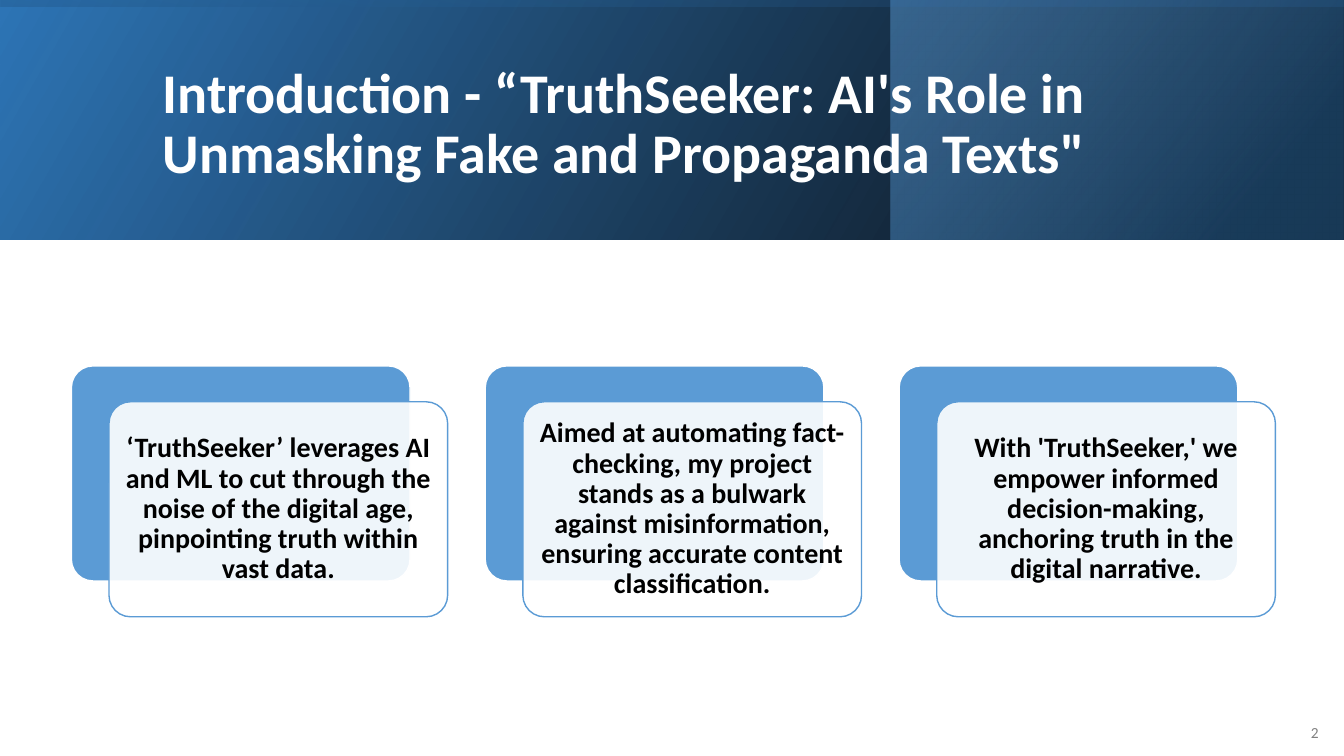
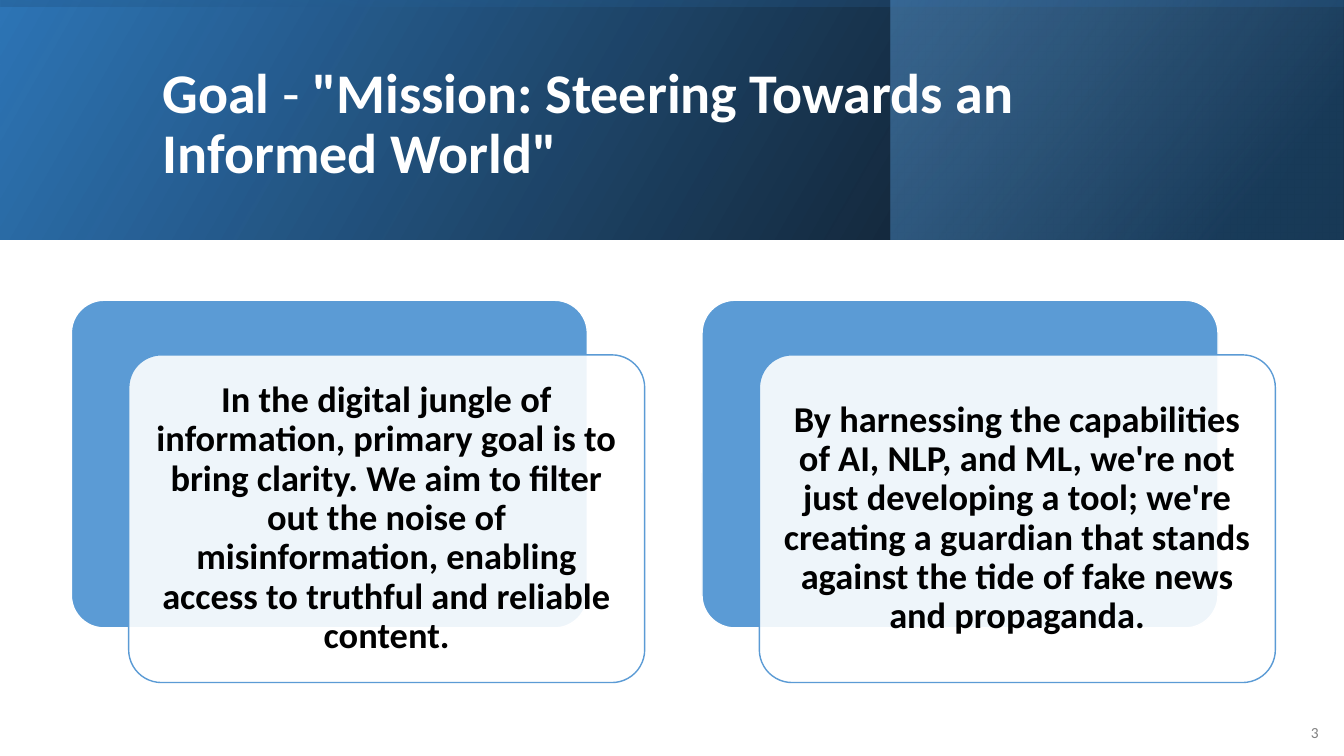
from dataclasses import dataclass
from typing import NamedTuple

from lxml.etree import SubElement
from pptx import Presentation
from pptx.dml.color import RGBColor
from pptx.enum.shapes import MSO_SHAPE as Shape
from pptx.enum.text import MSO_ANCHOR as Anchor, MSO_AUTO_SIZE as AutoSize, PP_ALIGN as Align
from pptx.oxml.ns import qn
from pptx.util import Pt

SLIDE_WIDTH, SLIDE_HEIGHT = 960, 540
HEADER_HEIGHT = 171
CARDS_LEFT, CARDS_WIDTH, CARDS_MIDDLE = 51, 860, 351
FONT = "Calibri"
BLACK, WHITE, GRAY = "000000", "FFFFFF", "808080"
NAVY, BLUE, SKY = "1F4E79", "2E75B6", "5B9BD5"


class Span(NamedTuple):
    text: str
    bold: bool = True


class Stop(NamedTuple):
    position: float
    color: str
    opacity: int = 100


@dataclass(frozen=True)
class Band:
    left: float
    top: float
    width: float
    height: float
    angle: float
    stops: tuple[Stop, Stop]
    rotation: float = 0


@dataclass(frozen=True)
class Page:
    number: int
    title: tuple[Span, ...]
    cards: tuple[str, ...]
    card_size: float


SWING = (SLIDE_WIDTH - HEADER_HEIGHT) / 2
BANDS = (
    Band(0, 0, SLIDE_WIDTH, HEADER_HEIGHT, 30,
         (Stop(0, BLACK, 96), Stop(1, BLUE))),
    Band(636.5, 0, 323, HEADER_HEIGHT, 40,
         (Stop(0.19, NAVY, 68), Stop(1, SKY, 48))),
    Band(SWING, -SWING, HEADER_HEIGHT, SLIDE_WIDTH, 10,
         (Stop(0.23, BLUE, 16), Stop(0.99, BLACK, 45)), rotation=270),
)

PAGES = (
    Page(
        2,
        (Span("Introduction - “TruthSeeker: AI's Role in Unmasking Fake and Propaganda Texts\""),),
        (
            "‘TruthSeeker’ leverages AI and ML to cut through the noise of the digital age, "
            "pinpointing truth within vast data.",
            "Aimed at automating fact-checking, my project stands as a bulwark against "
            "misinformation, ensuring accurate content classification.",
            "With 'TruthSeeker,' we empower informed decision-making, anchoring truth in "
            "the digital narrative.",
        ),
        20,
    ),
    Page(
        3,
        (Span("Goal"), Span(" - ", False),
         Span("\"Mission: Steering Towards an Informed World\"")),
        (
            "In the digital jungle of information, primary goal is to bring clarity. We aim to "
            "filter out the noise of misinformation, enabling access to truthful and reliable "
            "content.",
            "By harnessing the capabilities of AI, NLP, and ML, we're not just developing a "
            "tool; we're creating a guardian that stands against the tide of fake news and "
            "propaganda.",
        ),
        26,
    ),
)


def rgb(color: str) -> RGBColor:
    return RGBColor.from_string(color)


def write_text(frame, *spans: Span, size: float, color: str = BLACK, align=Align.CENTER,
               line_spacing: float = 0.9, inset: float | None = None) -> None:
    frame.word_wrap = True
    frame.auto_size = AutoSize.NONE
    frame.vertical_anchor = Anchor.MIDDLE
    if inset is not None:
        frame.margin_left = frame.margin_right = Pt(inset)
        frame.margin_top = frame.margin_bottom = Pt(inset)
    para = frame.paragraphs[0]
    para.alignment = align
    para.line_spacing = line_spacing
    for span in spans:
        run = para.add_run()
        run.text = span.text
        run.font.name = FONT
        run.font.size = Pt(size)
        run.font.bold = span.bold
        run.font.color.rgb = rgb(color)


def set_opacity(shape, *opacities: int) -> None:
    """Apply percentages to the shape's fill colours, in order."""
    for color, opacity in zip(shape.element.spPr.iter(qn("a:srgbClr")), opacities):
        SubElement(color, qn("a:alpha")).set("val", str(opacity * 1000))


def add_box(page, kind, left: float, top: float, width: float, height: float):
    box = page.shapes.add_shape(kind, Pt(left), Pt(top), Pt(width), Pt(height))
    box.shadow.inherit = False
    return box


def add_band(page, band: Band) -> None:
    box = add_box(page, Shape.RECTANGLE, band.left, band.top, band.width, band.height)
    box.rotation = band.rotation
    box.element.spPr.xfrm.set("flipH", "1")
    box.line.fill.background()
    box.fill.gradient()
    box.fill.gradient_angle = band.angle
    for target, stop in zip(box.fill.gradient_stops, band.stops):
        target.position = stop.position
        target.color.rgb = rgb(stop.color)
    set_opacity(box, *(stop.opacity for stop in band.stops))


def add_panel(page, left: float, top: float, width: float, height: float,
              fill: str, line: str):
    panel = add_box(page, Shape.ROUNDED_RECTANGLE, left, top, width, height)
    panel.adjustments[0] = 0.1
    panel.fill.solid()
    panel.fill.fore_color.rgb = rgb(fill)
    panel.line.color.rgb = rgb(line)
    panel.line.width = Pt(1)
    return panel


def add_cards(page, texts: tuple[str, ...], size: float) -> None:
    """Fill the row with equal cards, each a back panel and a shifted front panel."""
    shift_x, pitch = 1 / 9, 11 / 9
    width = CARDS_WIDTH / (pitch * (len(texts) - 1) + 1 + shift_x)
    height = width * 0.635
    shift_y = height / 6
    top = CARDS_MIDDLE - (height + shift_y) / 2
    for index, text in enumerate(texts):
        left = CARDS_LEFT + index * pitch * width
        add_panel(page, left, top, width, height, SKY, WHITE)
        front = add_panel(page, left + shift_x * width, top + shift_y, width, height, WHITE, SKY)
        set_opacity(front, 90)
        write_text(front.text_frame, Span(text), size=size, inset=0.3 * size)


def add_title(page, spans: tuple[Span, ...]) -> None:
    title = page.shapes.title
    title.left, title.top, title.width, title.height = Pt(109), Pt(27.5), Pt(765), Pt(124)
    write_text(title.text_frame, *spans, size=40, color=WHITE, align=Align.LEFT)
    page.shapes.element.append(title.element)  # in front of the bands


def add_number(page, number: int) -> None:
    box = page.shapes.add_textbox(Pt(921.5), Pt(508.5), Pt(35.5), Pt(29))
    write_text(box.text_frame, Span(str(number), False), size=11, color=GRAY, line_spacing=1)


def main() -> None:
    deck = Presentation()
    deck.slide_width, deck.slide_height = Pt(SLIDE_WIDTH), Pt(SLIDE_HEIGHT)
    title_only = deck.slide_layouts[5]
    for content in PAGES:
        page = deck.slides.add_slide(title_only)
        for band in BANDS:
            add_band(page, band)
        add_title(page, content.title)
        add_number(page, content.number)
        add_cards(page, content.cards, content.card_size)
    deck.save("out.pptx")


if __name__ == "__main__":
    main()
